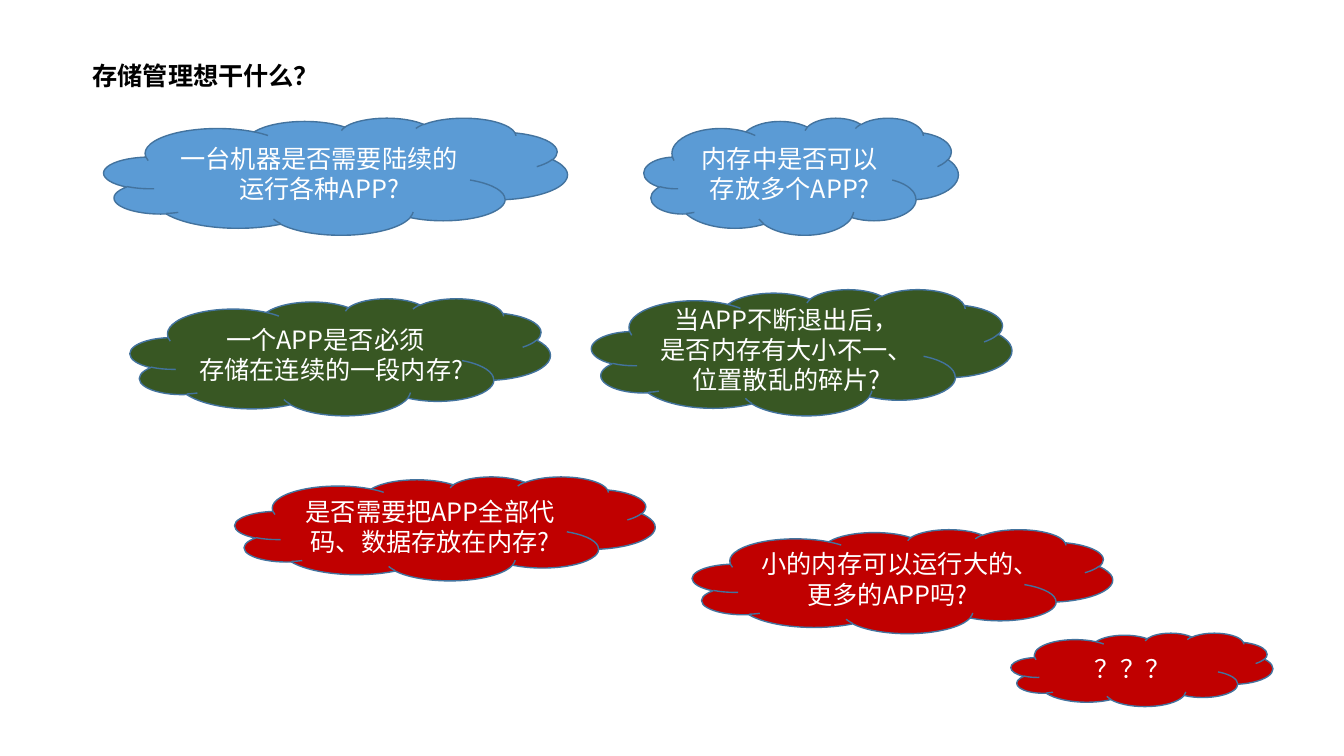
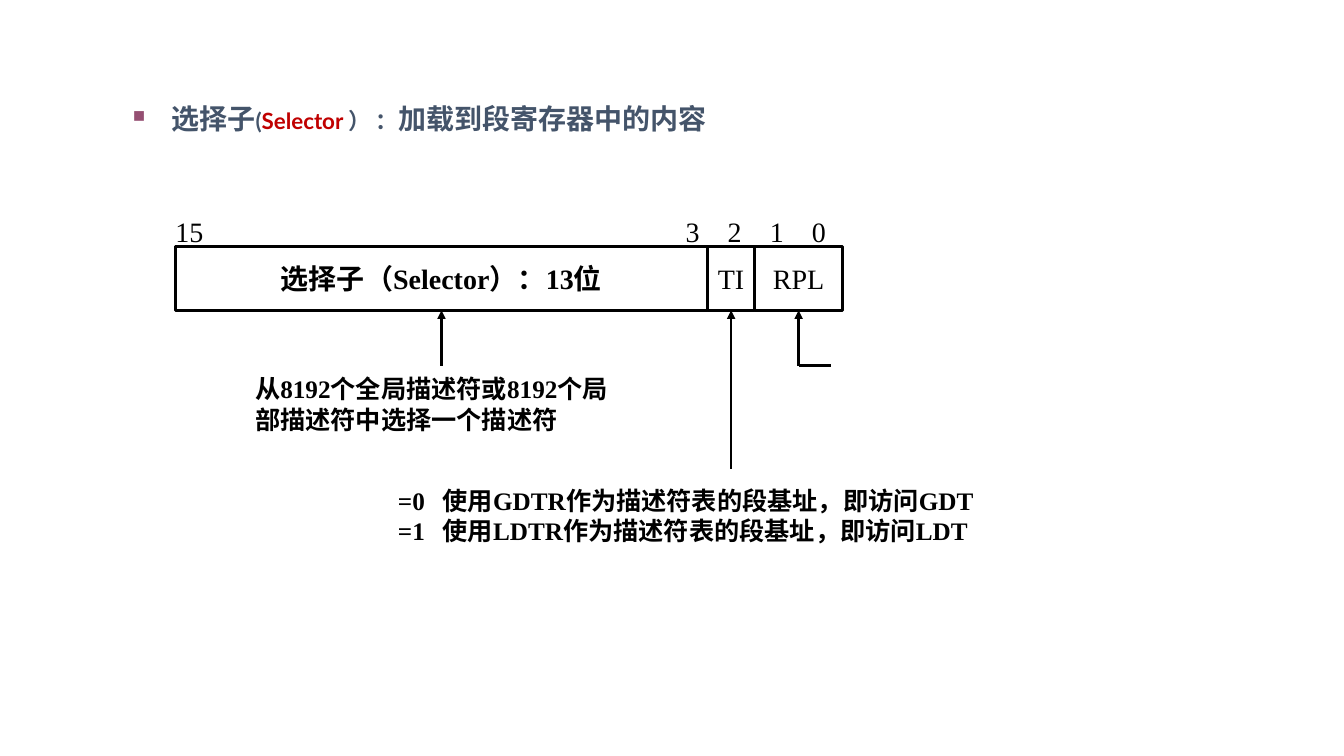
from lxml import etree
from pptx import Presentation
from pptx.dml.color import RGBColor
from pptx.enum.shapes import MSO_CONNECTOR as CONN, MSO_SHAPE as SHAPE
from pptx.enum.text import MSO_ANCHOR as ANCHOR, PP_ALIGN as ALIGN
from pptx.oxml.ns import qn
from pptx.util import Cm, Pt

COLORS = {
    "black": "000000", "white": "FFFFFF", "slate": "44546A", "plum": "954F72",
    "blue": "5B9BD5", "green": "385723", "red": "C00000", "outline": "43739E",
}
SERIF, SANS, CJK = "Times New Roman", "Lato", "Noto Sans CJK SC"


def add_run(p, text, size, font, color, bold=False):
    r = p.add_run()
    r.text = text
    r.font.size, r.font.bold, r.font.name = Pt(size), bold, font
    r.font.color.rgb = RGBColor.from_string(COLORS[color])
    etree.SubElement(r.font._element, qn("a:ea"), typeface=CJK)


def add_text(slide, box, inset=True):
    tf = slide.shapes.add_textbox(*map(Cm, box)).text_frame
    tf.word_wrap = True
    if not inset:
        tf.margin_left = tf.margin_right = tf.margin_top = tf.margin_bottom = 0
    return tf


prs = Presentation()
prs.slide_width, prs.slide_height = Cm(33.87), Cm(19.05)
blank = prs.slide_layouts[6]

# Slide 1: questions in clouds
s = prs.slides.add_slide(blank)
tf = add_text(s, (2.08, 1.4, 6.48, 1.02))
add_run(tf.paragraphs[0], "存储管理想干什么？", 18, SERIF, "black", True)

clouds = [
    ((2.62, 2.97, 11.68, 2.95), "blue", ["一台机器是否需要陆续的", "运行各种APP?"]),
    ((16.23, 2.97, 7.92, 2.95), "blue", ["内存中是否可以存放多个APP?"]),
    ((3.28, 7.52, 10.59, 2.95), "green", ["一个APP是否必须", "存储在连续的一段内存?"]),
    ((14.91, 7.29, 10.59, 3.18), "green",
     ["当APP不断退出后，", "是否内存有大小不一、位置散乱的碎片?"]),
    ((5.92, 12.01, 10.59, 2.62), "red", ["是否需要把APP全部代码、数据存放在内存?"]),
    ((17.45, 13.34, 10.59, 2.62), "red", ["小的内存可以运行大的、更多的APP吗?"]),
    ((25.48, 15.95, 6.6, 1.85), "red", ["？？？"]),
]
for box, color, lines in clouds:
    sp = s.shapes.add_shape(SHAPE.CLOUD, *map(Cm, box))
    sp.shadow.inherit = False
    sp.fill.solid()
    sp.fill.fore_color.rgb = RGBColor.from_string(COLORS[color])
    sp.line.color.rgb = RGBColor.from_string(COLORS["outline"])
    sp.line.width = Pt(1)
    tf = sp.text_frame
    tf.word_wrap, tf.vertical_anchor = True, ANCHOR.MIDDLE
    for i, line in enumerate(lines):
        p = tf.add_paragraph() if i else tf.paragraphs[0]
        p.alignment = ALIGN.CENTER
        add_run(p, line, 18, CJK, "white")

# Slide 2: selector layout, bulleted heading
s = prs.slides.add_slide(blank)
p = add_text(s, (3.1, 2.44, 15.93, 1.37)).paragraphs[0]
pPr = p._p.get_or_add_pPr()
pPr.set("marL", str(Cm(0.97)))
pPr.set("indent", str(-Cm(0.97)))
bu_clr = etree.SubElement(pPr, qn("a:buClr"))
etree.SubElement(bu_clr, qn("a:srgbClr"), val=COLORS["plum"])
etree.SubElement(pPr, qn("a:buSzPct"), val="60000")
etree.SubElement(pPr, qn("a:buChar"), char="■")
for text, size, color in [
    ("选择子", 20, "slate"), ("(", 16, "slate"), ("Selector ", 16, "red"),
    ("） ：", 16, "slate"), ("加载到段寄存器中的内容", 20, "slate"),
]:
    add_run(p, text, size, SANS, color, True)

# Register fields side by side
left, top, height = 4.42, 6.22, 1.6
bottom = top + height
x = left
fields = []
for text, width, bold in [
    ("选择子（Selector）：13位", 13.41, True), ("TI", 1.19, False), ("RPL", 2.21, False),
]:
    sp = s.shapes.add_shape(SHAPE.RECTANGLE, Cm(x), Cm(top), Cm(width), Cm(height))
    sp.shadow.inherit = False
    sp.fill.background()
    sp.line.color.rgb = RGBColor.from_string(COLORS["black"])
    sp.line.width = Pt(2)
    tf = sp.text_frame
    tf.word_wrap, tf.vertical_anchor = False, ANCHOR.MIDDLE
    p = tf.paragraphs[0]
    p.alignment = ALIGN.CENTER
    add_run(p, text, 20, SERIF, "black", bold)
    fields.append((sp, x + width / 2))
    x += width

# Bit numbers on evenly spaced tab stops
p = add_text(s, (left, 5.41, 16.79, 0.84), inset=False).paragraphs[0]
tabs = etree.SubElement(p._p.get_or_add_pPr(), qn("a:tabLst"))
for i in range(4):
    etree.SubElement(tabs, qn("a:tab"), pos=str(Cm(12.86 + 1.06 * i)), algn="l")
add_run(p, "15\t3\t2\t1\t0", 20, SERIF, "black")

# Field notes
tf = add_text(s, (6.43, 9.42, 9.4, 1.52), inset=False)
add_run(tf.paragraphs[0], "从8192个全局描述符或8192个局部描述符中选择一个描述符", 18, SERIF, "black", True)

tf = add_text(s, (10.03, 12.22, 16.61, 1.52), inset=False)
for i, table in enumerate(["GDT", "LDT"]):
    p = tf.add_paragraph() if i else tf.paragraphs[0]
    pPr = p._p.get_or_add_pPr()
    pPr.set("marL", str(Cm(1.13)))
    pPr.set("indent", str(-Cm(1.13)))
    add_run(p, f"={i}\t使用{table}R作为描述符表的段基址，即访问{table}", 18, SERIF, "black", True)

# Arrows up to the fields, and the foot of the RPL arrow
foot_y = 9.22
rpl_x = fields[2][1]
lines = [(x, y, x, bottom, sp) for (sp, x), y in zip(fields, (foot_y, 11.81, foot_y))]
lines.append((rpl_x, foot_y, rpl_x + 0.81, foot_y, None))
for x1, y1, x2, y2, field in lines:
    c = s.shapes.add_connector(CONN.STRAIGHT, Cm(x1), Cm(y1), Cm(x2), Cm(y2))
    c.line.color.rgb = RGBColor.from_string(COLORS["black"])
    c.line.width = Pt(2)
    if field is not None:
        c.end_connect(field, 2)
        etree.SubElement(c.line._get_or_add_ln(), qn("a:tailEnd"), type="triangle")
    etree.SubElement(c._element.spPr, qn("a:effectLst"))

prs.save("out.pptx")
